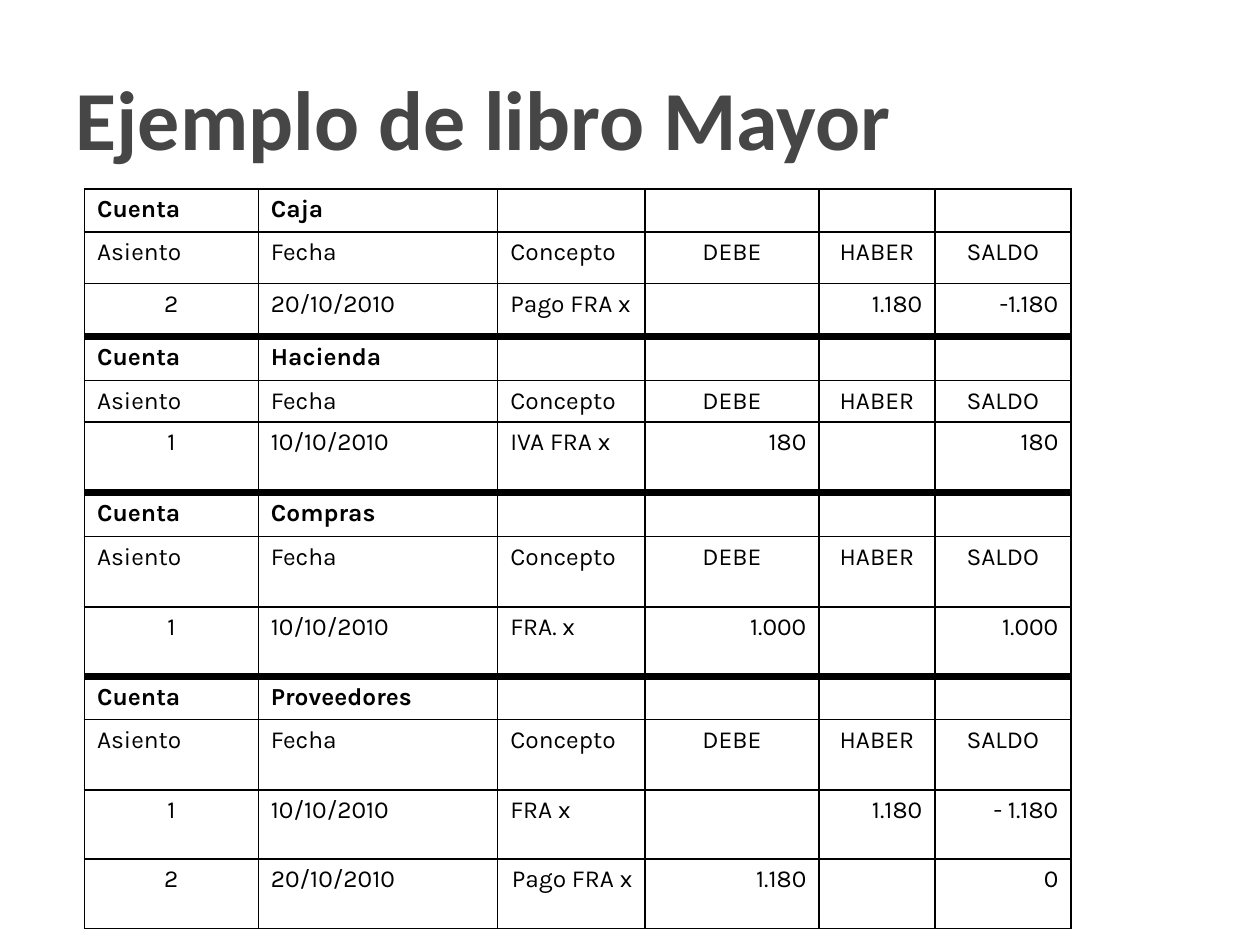
from lxml import etree
from pptx import Presentation
from pptx.dml.color import RGBColor
from pptx.enum.text import MSO_ANCHOR, PP_ALIGN
from pptx.oxml.ns import qn
from pptx.util import Inches, Pt

LEFT, CENTER, RIGHT = PP_ALIGN.LEFT, PP_ALIGN.CENTER, PP_ALIGN.RIGHT
MIDDLE = MSO_ANCHOR.MIDDLE

HEADINGS = ["Asiento", "Fecha", "Concepto", "DEBE", "HABER", "SALDO"]
HEADING_ALIGNMENTS = [LEFT, LEFT, LEFT, CENTER, CENTER, CENTER]
ENTRY_ALIGNMENTS = [CENTER, LEFT, LEFT, RIGHT, RIGHT, RIGHT]
ACCOUNTS = {
    "Caja": [["2", "20/10/2010", "Pago FRA x", "", "1.180", "-1.180"]],
    "Hacienda": [["1", "10/10/2010", "IVA FRA x", "180", "", "180"]],
    "Compras": [["1", "10/10/2010", "FRA. x", "1.000", "", "1.000"]],
    "Proveedores": [
        ["1", "10/10/2010", "FRA x", "", "1.180", "- 1.180"],
        ["2", "20/10/2010", "Pago FRA x", "1.180", "", "0"],
    ],
}
COLUMN_WIDTHS = [1.38, 1.9, 1.17, 1.38, 0.92, 1.08]
ROW_HEIGHTS = [0.34, 0.41, 0.42, 0.35, 0.33, 0.56, 0.35,
               0.56, 0.55, 0.34, 0.56, 0.55, 0.55]


def color(value):
    return RGBColor.from_string(value)


class LedgerSlide:
    title_font = "Calibri"
    table_font = "Karla"
    title_color = "464646"
    ink = "000000"
    paper = "FFFFFF"
    thin = 1
    thick = 4.5

    def __init__(self, presentation):
        self.slide = presentation.slides.add_slide(presentation.slide_layouts[5])

    def style(self, paragraph, name, size, value, bold, alignment):
        paragraph.alignment = alignment
        font = paragraph.font
        font.name, font.size, font.bold = name, Pt(size), bold
        font.color.rgb = color(value)

    def title(self, text, left, top, width, height):
        shape = self.slide.shapes.title
        shape.left, shape.top = Inches(left), Inches(top)
        shape.width, shape.height = Inches(width), Inches(height)
        frame = shape.text_frame
        frame.text = text
        frame.vertical_anchor = MIDDLE
        self.style(frame.paragraphs[0], self.title_font, 48, self.title_color, True, LEFT)

    def border(self, cell, side, width):
        properties = cell._tc.get_or_add_tcPr()
        line = etree.SubElement(properties, qn(f"a:ln{side}"), w=str(Pt(width)))
        fill = etree.SubElement(line, qn("a:solidFill"))
        etree.SubElement(fill, qn("a:srgbClr"), val=self.ink)

    def cell(self, cell, text, bold, alignment, top, bottom):
        cell.text = text
        paragraph = cell.text_frame.paragraphs[0]
        self.style(paragraph, self.table_font, 14, self.ink, bold, alignment)
        if not text:
            etree.SubElement(paragraph._p, qn("a:endParaRPr"), sz="1400")
            end = paragraph._p[-1]
            etree.SubElement(end, qn("a:latin"), typeface=self.table_font)
        for side, width in zip("LRTB", (self.thin, self.thin, top, bottom)):
            self.border(cell, side, width)
        cell.fill.solid()
        cell.fill.fore_color.rgb = color(self.paper)

    def table(self, rows, left, top):
        table = self.slide.shapes.add_table(
            len(rows), len(COLUMN_WIDTHS), Inches(left), Inches(top),
            Inches(sum(COLUMN_WIDTHS)), Inches(sum(ROW_HEIGHTS))).table
        table.first_row = table.horz_banding = False
        for column, width in zip(table.columns, COLUMN_WIDTHS):
            column.width = Inches(width)
        for row, height in zip(table.rows, ROW_HEIGHTS):
            row.height = Inches(height)
        starts = {index for index, row in enumerate(rows) if row[0][0] == "Cuenta"} - {0}
        for index, (texts, bold, alignments) in enumerate(rows):
            upper = self.thick if index in starts else self.thin
            lower = self.thick if index + 1 in starts else self.thin
            for column, (text, alignment) in enumerate(zip(texts, alignments)):
                self.cell(table.cell(index, column), text, bold, alignment, upper, lower)
        return table


def ledger_rows():
    rows = []
    for account, entries in ACCOUNTS.items():
        rows.append((["Cuenta", account, "", "", "", ""], True, [LEFT] * 6))
        rows.append((HEADINGS, False, HEADING_ALIGNMENTS))
        rows.extend((entry, False, ENTRY_ALIGNMENTS) for entry in entries)
    return rows


def main():
    presentation = Presentation()
    presentation.slide_width, presentation.slide_height = Inches(10), Inches(7.5)
    ledger = LedgerSlide(presentation)
    ledger.title("Ejemplo de libro Mayor", 0.5, 0.3, 9, 1.25)
    rows = ledger_rows()
    table = ledger.table(rows, 0.67, 1.5)
    last_concept = table.cell(len(rows) - 1, HEADINGS.index("Concepto"))
    last_concept.text_frame.paragraphs[0].alignment = RIGHT
    presentation.save("out.pptx")


if __name__ == "__main__":
    main()
